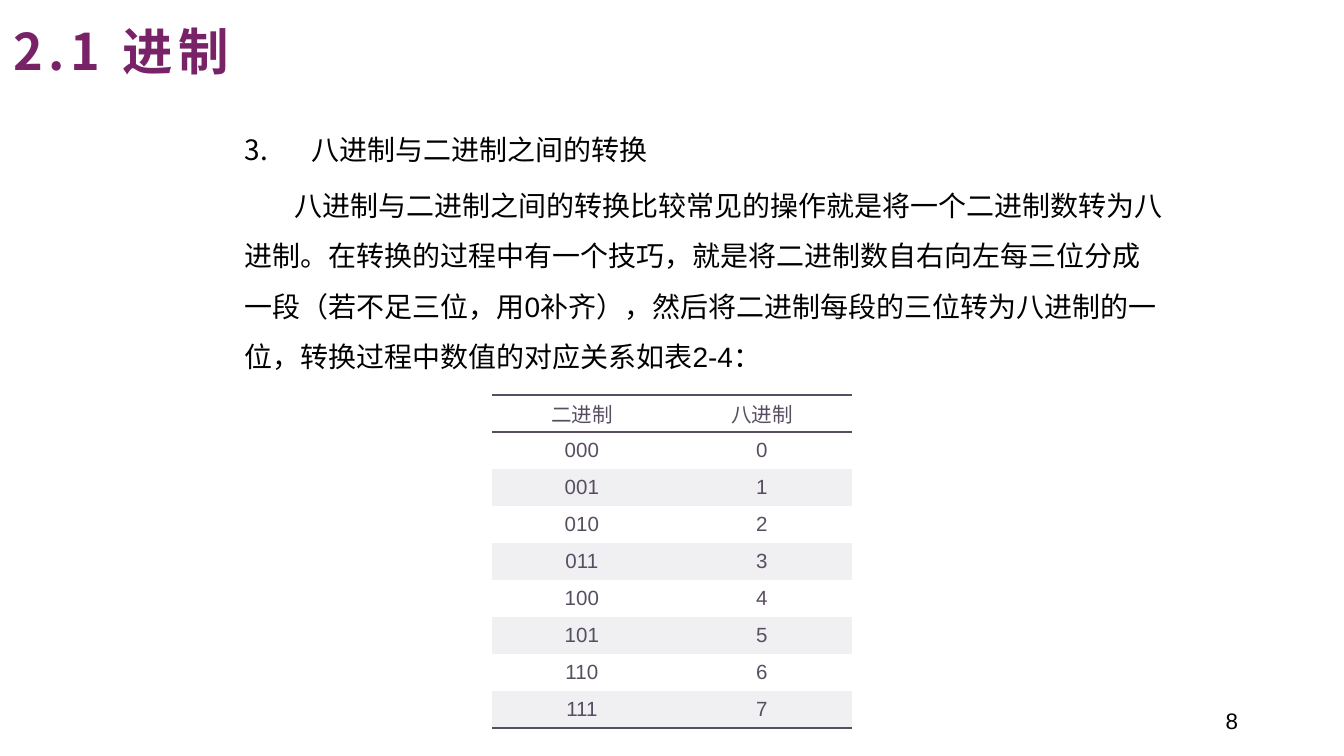
from dataclasses import dataclass
from typing import Optional

from lxml.etree import SubElement
from pptx import Presentation
from pptx.dml.color import RGBColor
from pptx.enum.text import MSO_ANCHOR as Anchor, PP_ALIGN as Align
from pptx.oxml.ns import qn
from pptx.util import Inches, Pt

CJK = "Noto Sans CJK SC"
BLACK = "000000"
PURPLE = "782367"
SLATE = "584E61"
WHITE = "FFFFFF"
BAND = "F0EFF2"
NO_STYLE = "{2D5ABB26-0587-4C30-8999-92F81FD0307C}"


@dataclass
class TextStyle:
    size: float
    color: str
    font: str = "Arial"
    bold: bool = False
    spacing: float = 0


@dataclass
class Entry:
    text: str
    left: float
    indent: float
    start: Optional[int] = None


def rgb(value: str) -> RGBColor:
    return RGBColor.from_string(value)


def format_runs(paragraph, style: TextStyle) -> None:
    for run in paragraph.runs:
        font = run.font
        font.name = style.font
        font.size = Pt(style.size)
        font.bold = style.bold
        font.color.rgb = rgb(style.color)
        properties = run._r.get_or_add_rPr()
        SubElement(properties, qn("a:ea"), typeface=CJK)
        if style.spacing:
            properties.set("spc", str(round(style.spacing * 100)))


def add_frame(slide, left: float, top: float, width: float, height: float):
    frame = slide.shapes.add_textbox(
        Inches(left), Inches(top), Inches(width), Inches(height)
    ).text_frame
    frame.word_wrap = True
    return frame


def add_line(slide, text: str, place: tuple, style: TextStyle, align: Align) -> None:
    frame = add_frame(slide, *place)
    frame.vertical_anchor = Anchor.MIDDLE
    frame.text = text
    frame.paragraphs[0].alignment = align
    format_runs(frame.paragraphs[0], style)


def add_entries(slide, entries: list[Entry], place: tuple, style: TextStyle) -> None:
    frame = add_frame(slide, *place)
    frame.margin_left = frame.margin_right = Inches(0.07)
    frame.margin_top = frame.margin_bottom = Inches(0.04)
    for index, entry in enumerate(entries):
        paragraph = frame.add_paragraph() if index else frame.paragraphs[0]
        paragraph.text = entry.text
        paragraph.line_spacing = 1.5
        paragraph.space_before = Pt(3 if index else 0)
        properties = paragraph._p.get_or_add_pPr()
        properties.set("marL", str(Inches(entry.left)))
        properties.set("indent", str(Inches(entry.indent)))
        if entry.start is not None:
            SubElement(properties, qn("a:buFont"), typeface=CJK)
            SubElement(properties, qn("a:buAutoNum"), type="arabicPeriod", startAt=str(entry.start))
        format_runs(paragraph, style)


def add_borders(cell, ruled: set[str], color: str, width: float) -> None:
    properties = cell._tc.get_or_add_tcPr()
    for side in ("lnL", "lnR", "lnT", "lnB"):
        line = SubElement(properties, qn(f"a:{side}"), w=str(Pt(width)))
        if side in ruled:
            fill = SubElement(line, qn("a:solidFill"))
            SubElement(fill, qn("a:srgbClr"), val=color)
        else:
            SubElement(line, qn("a:noFill"))


def add_grid(slide, rows: list[tuple[str, str]], place: tuple, style: TextStyle) -> None:
    left, top, width, height = map(Inches, place)
    grid = slide.shapes.add_table(len(rows), len(rows[0]), left, top, width, height).table
    grid.first_row = grid.horz_banding = False
    grid._tbl.find(".//" + qn("a:tableStyleId")).text = NO_STYLE
    rules = {0: {"lnT", "lnB"}, 1: {"lnT"}, len(rows) - 1: {"lnB"}}
    for r, values in enumerate(rows):
        for c, value in enumerate(values):
            cell = grid.cell(r, c)
            cell.text = value
            cell.vertical_anchor = Anchor.MIDDLE
            cell.margin_left = cell.margin_right = Inches(0.06)
            cell.margin_top = cell.margin_bottom = 0
            add_borders(cell, rules.get(r, set()), SLATE, 1.5)
            cell.fill.solid()
            cell.fill.fore_color.rgb = rgb(BAND if r and r % 2 == 0 else WHITE)
            paragraph = cell.text_frame.paragraphs[0]
            paragraph.alignment = Align.CENTER
            format_runs(paragraph, style)


def main() -> None:
    deck = Presentation()
    deck.slide_width, deck.slide_height = Inches(10), Inches(10 * 9 / 16)
    slide = deck.slides.add_slide(deck.slide_layouts[6])

    explanation = [
        Entry("八进制与二进制之间的转换", 1, -0.5, start=3),
        Entry(
            "八进制与二进制之间的转换比较常见的操作就是将一个二进制数转为八进制。"
            "在转换的过程中有一个技巧，就是将二进制数自右向左每三位分成一段"
            "（若不足三位，用0补齐），然后将二进制每段的三位转为八进制的一位，"
            "转换过程中数值的对应关系如表2-4：",
            0.5,
            0.37,
        ),
    ]
    add_entries(slide, explanation, (1.25, 0.82, 7.5, 4.6), TextStyle(15, BLACK))

    digits = [("二进制", "八进制")] + [(f"{n:03b}", str(n)) for n in range(8)]
    add_grid(slide, digits, (3.66, 2.94, 2.68, 2.48), TextStyle(11, SLATE))

    heading = TextStyle(27, PURPLE, CJK, bold=True, spacing=3)
    add_line(slide, "2.1 进制", (0, 0.08, 6.37, 0.59), heading, Align.LEFT)
    add_line(slide, "8", (7.06, 5.21, 2.25, 0.3), TextStyle(12, BLACK), Align.RIGHT)

    deck.save("out.pptx")


if __name__ == "__main__":
    main()
